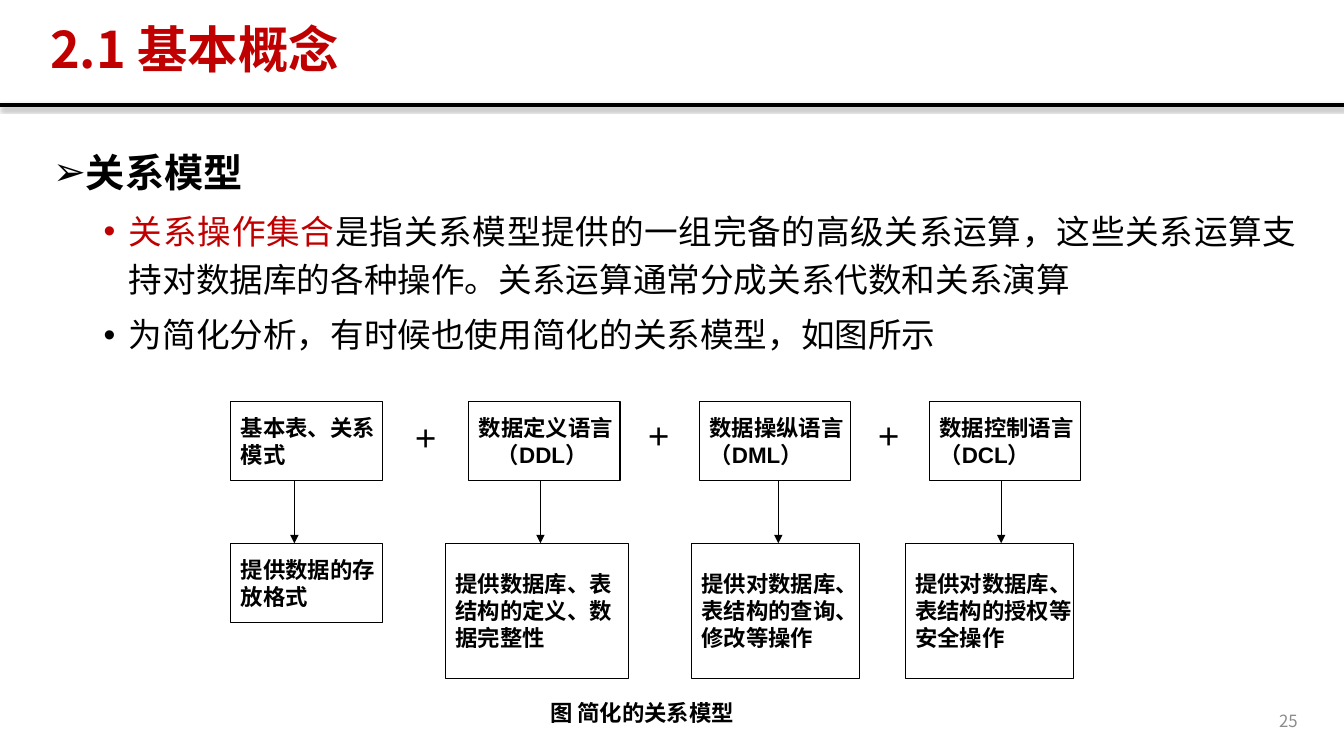
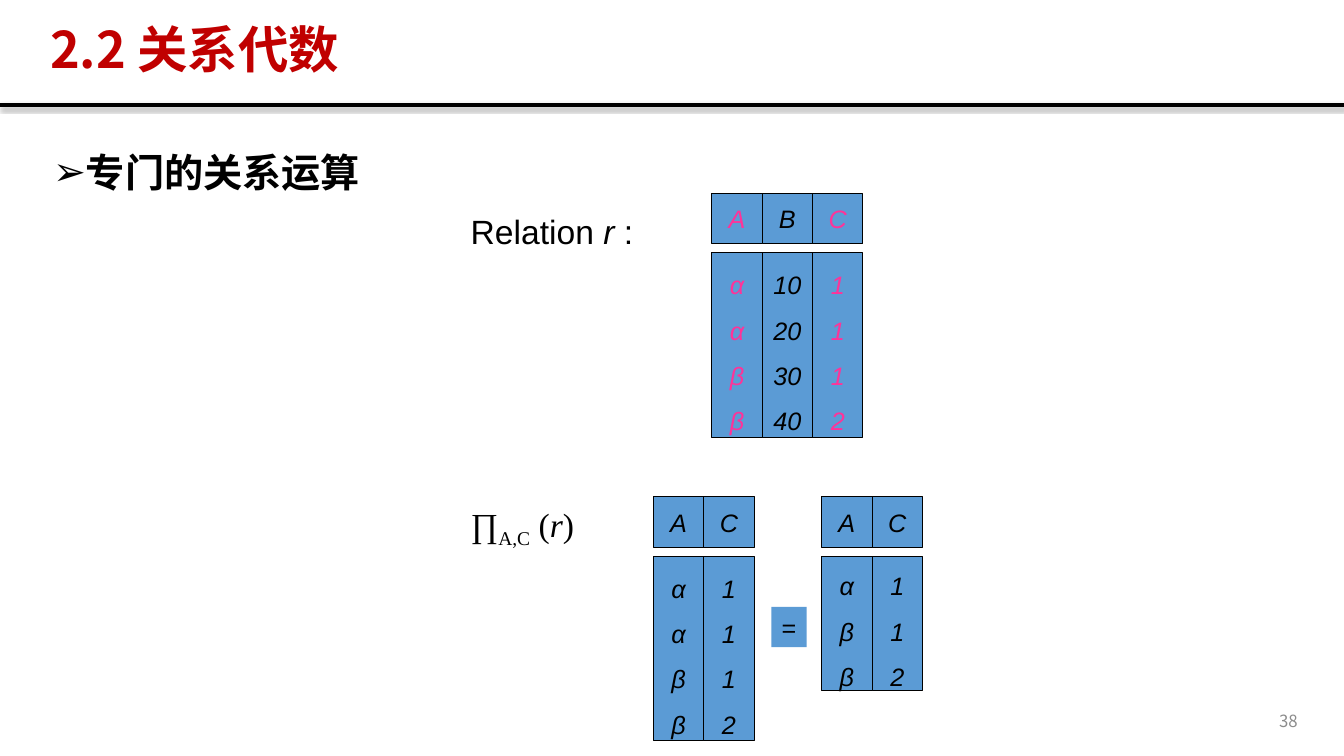
"""Build two lecture slides on the relational model and projection."""
from dataclasses import dataclass
from typing import NamedTuple, Optional, Sequence

from lxml.etree import SubElement
from pptx import Presentation
from pptx.dml.color import RGBColor
from pptx.enum.shapes import MSO_CONNECTOR, MSO_SHAPE
from pptx.enum.text import MSO_ANCHOR, PP_ALIGN
from pptx.oxml.ns import qn
from pptx.util import Inches, Pt


@dataclass(frozen=True)
class Theme:
    black: str = "000000"
    red: str = "C00000"
    pink: str = "FF3399"
    blue: str = "5B9BD5"
    grey: str = "8C8C8C"
    cjk: str = "Noto Sans CJK SC"
    sans: str = "Arial"
    serif: str = "Times New Roman"
    title: int = 36
    heading: int = 28
    body: int = 24
    cell: int = 18
    label: int = 16
    number: int = 12


T = Theme()


class Run(NamedTuple):
    text: str
    size: int
    font: str = T.sans
    color: str = T.black
    bold: bool = False
    italic: bool = False
    baseline: int = 0


class Para(NamedTuple):
    runs: Sequence[Run]
    align: PP_ALIGN = PP_ALIGN.LEFT
    spacing: Optional[float] = None
    before: float = 0
    margin: float = 0
    bullet: str = ""


class Box(NamedTuple):
    left: float
    top: float
    width: float
    height: float


class Component(NamedTuple):
    name: Sequence[str]
    purpose: str
    left: float
    purpose_box: Box
    arrow: float
    second_margin: float = 0


class Relation(NamedTuple):
    left: float
    top: float
    body_height: float
    columns: Sequence[Sequence[str]]
    marked: str = ""


def write(tf, paras: Sequence[Para], anchor=MSO_ANCHOR.TOP, wrap: bool = True) -> None:
    tf.word_wrap = wrap
    tf.vertical_anchor = anchor
    for i, para in enumerate(paras):
        p = tf.add_paragraph() if i else tf.paragraphs[0]
        p.alignment = para.align
        if para.spacing:
            p.line_spacing = para.spacing
        if para.before and i:
            p.space_before = Pt(para.before)
        ppr = p._p.get_or_add_pPr()
        if para.margin:
            ppr.set("marL", str(Inches(para.margin)))
        if para.bullet:
            ppr.set("indent", str(Inches(-0.25)))
            SubElement(ppr, qn("a:buFont"), typeface=T.sans)
            SubElement(ppr, qn("a:buChar"), char=para.bullet)
        for run in para.runs:
            r = p.add_run()
            r.text = run.text
            f = r.font
            f.size, f.name, f.bold, f.italic = Pt(run.size), run.font, run.bold, run.italic
            f.color.rgb = RGBColor.from_string(run.color)
            rpr = r._r.get_or_add_rPr()
            ea = run.font if run.font == T.serif else T.cjk
            SubElement(rpr, qn("a:ea"), typeface=ea)
            if run.baseline:
                rpr.set("baseline", str(run.baseline * 1000))


def add_text(s, box: Box, paras: Sequence[Para], anchor=MSO_ANCHOR.TOP) -> None:
    sp = s.shapes.add_textbox(*map(Inches, box))
    write(sp.text_frame, paras, anchor)


def add_box(s, box: Box, paras: Sequence[Para], fill: str = "",
            outlined: bool = True, wrap: bool = False) -> None:
    sp = s.shapes.add_shape(MSO_SHAPE.RECTANGLE, *map(Inches, box))
    sp.shadow.inherit = False
    if fill:
        sp.fill.solid()
        sp.fill.fore_color.rgb = RGBColor.from_string(fill)
    else:
        sp.fill.background()
    if outlined:
        sp.line.color.rgb = RGBColor.from_string(T.black)
        sp.line.width = Pt(0.75)
    else:
        sp.line.fill.background()
    if wrap:
        sp.text_frame.margin_right = 0
    write(sp.text_frame, paras, MSO_ANCHOR.MIDDLE, wrap)


def add_line(s, x1: float, y1: float, x2: float, y2: float, width: float,
             arrow: bool = False, shadow: bool = False) -> None:
    line = s.shapes.add_connector(MSO_CONNECTOR.STRAIGHT, *map(Inches, (x1, y1, x2, y2)))
    line.line.color.rgb = RGBColor.from_string(T.black)
    line.line.width = Pt(width)
    if arrow:
        SubElement(line.line._get_or_add_ln(), qn("a:tailEnd"), type="triangle")
    effects = SubElement(line._element.spPr, qn("a:effectLst"))
    if shadow:
        outer = SubElement(effects, qn("a:outerShdw"), blurRad=str(Pt(3.1)),
                           dist=str(Pt(1.8)), dir="5400000", rotWithShape="0")
        color = SubElement(outer, qn("a:srgbClr"), val=T.black)
        SubElement(color, qn("a:alpha"), val="35000")


def add_base(prs, title: str, number: str, heading: str, points: Sequence[Para] = ()):
    s = prs.slides.add_slide(prs.slide_layouts[6])
    add_line(s, 0, 1.04, 13.33, 1.04, 3, shadow=True)
    head = Para([Run(heading, T.heading, T.cjk, bold=True)], PP_ALIGN.JUSTIFY, 1.2,
                margin=0.25, bullet="➢")
    add_text(s, Box(0.43, 1.33, 12.53, 5.42), [head, *points])
    add_text(s, Box(9.97, 6.95, 3, 0.4),
             [Para([Run(number, T.number, T.cjk, T.grey)], PP_ALIGN.RIGHT)], MSO_ANCHOR.MIDDLE)
    add_text(s, Box(0.4, 0.19, 11.7, 0.65),
             [Para([Run(title, T.title, T.cjk, T.red, True)], PP_ALIGN.JUSTIFY, 0.9)],
             MSO_ANCHOR.MIDDLE)
    return s


def point(*runs: Run) -> Para:
    return Para(runs, PP_ALIGN.JUSTIFY, 1.2, 5, 0.75, "•")


def label(text: str, margin: float = 0) -> Para:
    return Para([Run(text, T.label, bold=True)], margin=margin)


def add_component(s, c: Component) -> None:
    names = [label(n, c.second_margin if i else 0) for i, n in enumerate(c.name)]
    add_box(s, Box(c.left, 3.98, 1.5, 0.79), names, wrap=True)
    add_box(s, c.purpose_box, [label(c.purpose)], wrap=True)
    add_line(s, c.arrow, 4.77, c.arrow, 5.39, 0.75, arrow=True)


def add_relation(s, rel: Relation) -> None:
    side, gap = 0.5, 0.09
    for i, (name, *values) in enumerate(rel.columns):
        color = T.pink if name in rel.marked else T.black
        left = rel.left + i * side

        def cell(text: str, spacing: Optional[float] = None) -> Para:
            return Para([Run(text, T.cell, color=color, italic=True)], PP_ALIGN.CENTER, spacing)

        add_box(s, Box(left, rel.top, side, side), [cell(name)], T.blue)
        add_box(s, Box(left, rel.top + side + gap, side, rel.body_height),
                [cell(v, 1.5) for v in values], T.blue)


def build_model(prs) -> None:
    s = add_base(prs, "2.1 基本概念", "25", "关系模型", [
        point(Run("关系操作集合", T.body, T.cjk, T.red),
              Run("是指关系模型提供的一组完备的高级关系运算，这些关系运算支持对数据库的各种操作。"
                  "关系运算通常分成关系代数和关系演算", T.body, T.cjk)),
        point(Run("为简化分析，有时候也使用简化的关系模型，如图所示", T.body, T.cjk))])
    add_text(s, Box(5.36, 6.89, 2.13, 0.37), [label("图 简化的关系模型")])
    for c in (
        Component(["基本表、关系模式"], "提供数据的存放格式",
                  2.29, Box(2.29, 5.39, 1.5, 0.79), 2.92),
        Component(["数据定义语言", "（DDL）"], "提供数据库、表结构的定义、数据完整性",
                  4.65, Box(4.42, 5.39, 1.81, 1.34), 5.36, 0.18),
        Component(["数据操纵语言（DML）"], "提供对数据库、表结构的查询、修改等操作",
                  6.94, Box(6.86, 5.39, 1.67, 1.34), 7.72),
        Component(["数据控制语言（DCL）"], "提供对数据库、表结构的授权等安全操作",
                  9.22, Box(8.98, 5.39, 1.67, 1.34), 9.93),
    ):
        add_component(s, c)
    for left, top in ((4, 4.15), (6.31, 4.13), (8.59, 4.13)):
        add_text(s, Box(left, top, 0.45, 0.4), [Para([Run("＋", T.cell, bold=True)])])


def build_projection(prs) -> None:
    s = add_base(prs, "2.2 关系代数", "38", "专门的关系运算")
    add_text(s, Box(4.57, 2.04, 2.21, 0.54), [Para([
        Run("Relation", T.body), Run(" r ", T.body, italic=True), Run(":", T.body)])])
    add_text(s, Box(4.57, 4.95, 1.54, 0.81), [Para([
        Run("∏", T.body, T.serif), Run("A,C", T.body, T.serif, baseline=-25),
        Run(" (", T.body, T.serif), Run("r", T.body, T.serif, italic=True),
        Run(")", T.body, T.serif)])])
    a, c = "Aααββ", "C1112"
    b = ["B", "10", "20", "30", "40"]
    for rel in (Relation(7.06, 1.92, 1.83, [a, b, c], "AC"),
                Relation(6.48, 4.93, 1.83, [a, c]),
                Relation(8.15, 4.93, 1.33, ["Aαββ", "C112"])):
        add_relation(s, rel)
    add_box(s, Box(7.65, 6.02, 0.35, 0.4),
            [Para([Run("=", T.cell)], PP_ALIGN.CENTER)], T.blue, outlined=False)


def main() -> None:
    prs = Presentation()
    prs.slide_width, prs.slide_height = Inches(13.33), Inches(7.5)
    build_model(prs)
    build_projection(prs)
    prs.save("out.pptx")


if __name__ == "__main__":
    main()
